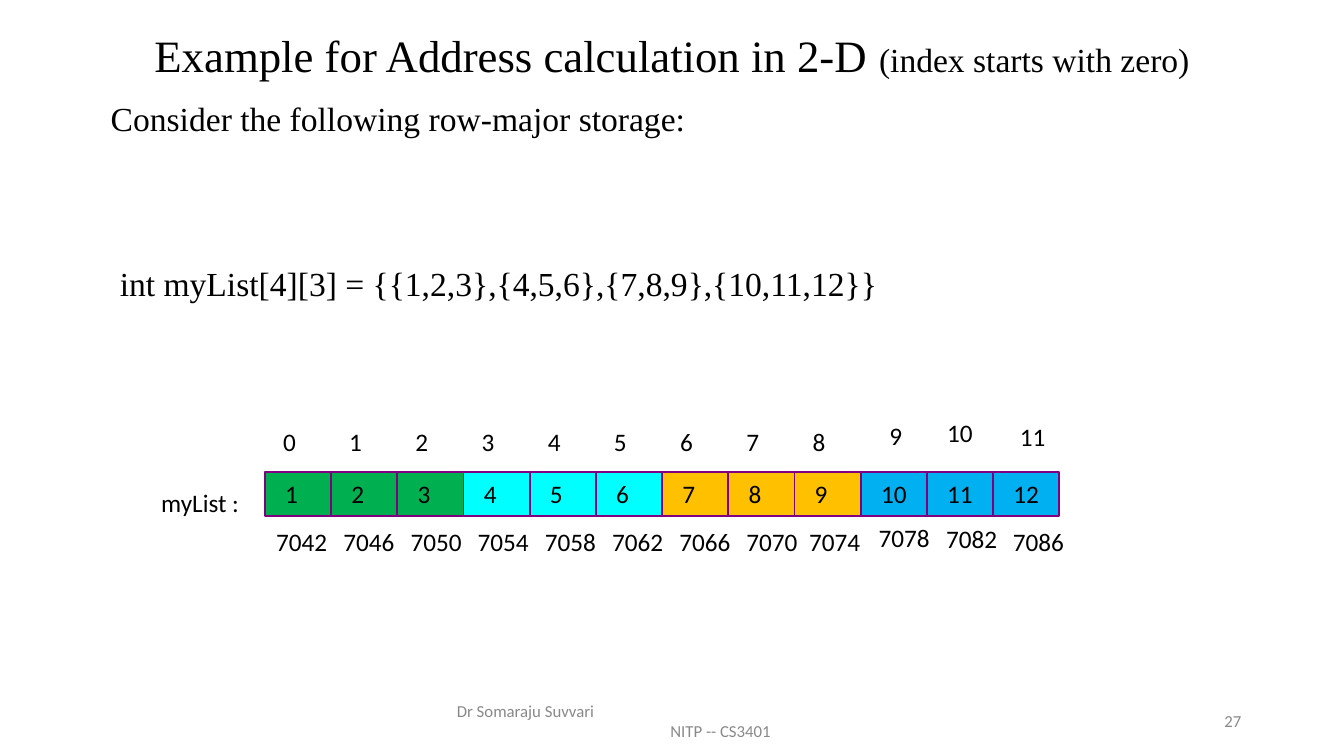
"""Build a slide on row-major address calculation in a 2-D array."""
from dataclasses import dataclass

from pptx import Presentation, util as u
from pptx.dml import color as dml
from pptx.enum import shapes, text as t

WIDE, HIGH = 13.34, 7.5
LEFT, TOP, COL, ROW = 2.63, 4.68, 0.657, 0.44
HUES = {"ink": "000000", "gray": "898989", "edge": "800080"}
FILLS = {"green": "00B050", "cyan": "00FFFF", "gold": "FFC000", "blue": "00B0F0"}
SERIF, SANS = "Times New Roman", "Calibri"
MID, NEAR, FAR = t.PP_ALIGN.CENTER, t.PP_ALIGN.LEFT, t.PP_ALIGN.RIGHT


@dataclass
class Box:
    left: float
    top: float
    wide: float
    high: float


@dataclass
class Line:
    words: str
    indent: float = 0
    before: float = 0


def grid(col: float, row: float, cols: float = 1, rows: float = 1) -> Box:
    return Box(LEFT + col * COL, TOP + row * ROW, cols * COL, rows * ROW)


def share(left: float, top: float, wide: float, high: float) -> Box:
    return Box(left * WIDE, top * HIGH, wide * WIDE, high * HIGH)


def place(box: Box) -> list[int]:
    return [u.Inches(n) for n in (box.left, box.top, box.wide, box.high)]


def style(run, size: float, font: str, hue: str) -> None:
    run.font.size = u.Pt(size)
    run.font.name = font
    run.font.color.rgb = dml.RGBColor.from_string(HUES[hue])


def pad(frame, side: float, end: float) -> None:
    frame.margin_left = frame.margin_right = u.Inches(side)
    frame.margin_top = frame.margin_bottom = u.Inches(end)


def write(slide, box: Box, lines: list[Line], size: float = 18, font: str = SANS,
          hue: str = "ink", align=NEAR, side: float = 0, end: float = 0,
          anchor=t.MSO_ANCHOR.TOP) -> None:
    frame = slide.shapes.add_textbox(*place(box)).text_frame
    frame.word_wrap = True
    frame.vertical_anchor = anchor
    pad(frame, side, end)
    frame.text = "\n".join(line.words for line in lines)
    for para, line in zip(frame.paragraphs, lines):
        para.alignment = align
        para.space_before = u.Pt(line.before)
        para._p.get_or_add_pPr().set("marL", str(u.Inches(line.indent)))
        style(para.runs[0], size, font, hue)


def head(slide) -> None:
    title = slide.shapes.title
    title.left, title.top, title.width, title.height = place(share(0.069, 0.047, 0.862, 0.06))
    frame = title.text_frame
    frame.word_wrap = True
    frame.auto_size = t.MSO_AUTO_SIZE.NONE
    frame.vertical_anchor = t.MSO_ANCHOR.MIDDLE
    pad(frame, 0, 0)
    para = frame.paragraphs[0]
    para.alignment, para.line_spacing = MID, 0.9
    parts = [("Example for Address calculation in 2-D ", 32), ("(index starts with zero)", 24)]
    for words, size in parts:
        run = para.add_run()
        run.text = words
        style(run, size, SERIF, "ink")


def cell(slide, spot: int, fill: str, shift: float) -> None:
    shape = slide.shapes.add_shape(shapes.MSO_SHAPE.RECTANGLE, *place(grid(spot, 0)))
    shape.shadow.inherit = False
    shape.fill.solid()
    shape.fill.fore_color.rgb = dml.RGBColor.from_string(fill)
    shape.line.color.rgb = dml.RGBColor.from_string(HUES["edge"])
    shape.line.width = u.Pt(1.25)
    frame = shape.text_frame
    pad(frame, 0, 0)
    frame.margin_right = u.Inches(shift)
    frame.vertical_anchor = t.MSO_ANCHOR.MIDDLE
    frame.text = str(spot + 1)
    frame.paragraphs[0].alignment = MID
    style(frame.paragraphs[0].runs[0], 18, SANS, "ink")


def array(slide) -> None:
    index = {9: (9.53, -1.16), 10: (10.5, -1.23), 11: (11.6, -1.14)}
    address = {8: (8.22, 1.23), 9: (9.27, 1.14), 10: (10.29, 1.16), 11: (11.3, 1.23)}
    for spot in range(12):
        cell(slide, spot, list(FILLS.values())[spot // 3], 0.13 if spot < 9 else 0)
        mid, row = index.get(spot, (spot + 0.37, -1.02))
        write(slide, grid(mid - 0.7, row, 1.4, 0.68), [Line(str(spot))], align=MID)
        col, row = address.get(spot, (0.17 + 1.015 * spot, 1.23))
        write(slide, grid(col, row, 1.02, 0.68), [Line(str(7042 + 4 * spot))])
    write(slide, grid(-1.63, 0.36, 1.3, 0.68), [Line("myList :")], align=MID)


def main() -> None:
    deck = Presentation()
    deck.slide_width, deck.slide_height = u.Inches(WIDE), u.Inches(HIGH)
    slide = deck.slides.add_slide(deck.slide_layouts[5])
    head(slide)
    write(slide, share(0.069, 0.123, 0.898, 0.78),
          [Line("Consider the following row-major storage:", 0.08),
           Line("int myList[4][3] = {{1,2,3},{4,5,6},{7,8,9},{10,11,12}}", 0.17, 89)],
          size=24, font=SERIF, side=0.1, end=0.05)
    array(slide)
    foot = dict(size=12, hue="gray", side=0.1, end=0.05, anchor=t.MSO_ANCHOR.MIDDLE)
    write(slide, share(0.331, 0.927, 0.337, 0.053),
          [Line("Dr Somaraju Suvvari", 0.02), Line("NITP -- CS3401", 2.14)], **foot)
    write(slide, share(0.706, 0.927, 0.225, 0.053), [Line("27")], align=FAR, **foot)
    deck.save("out.pptx")


if __name__ == "__main__":
    main()
